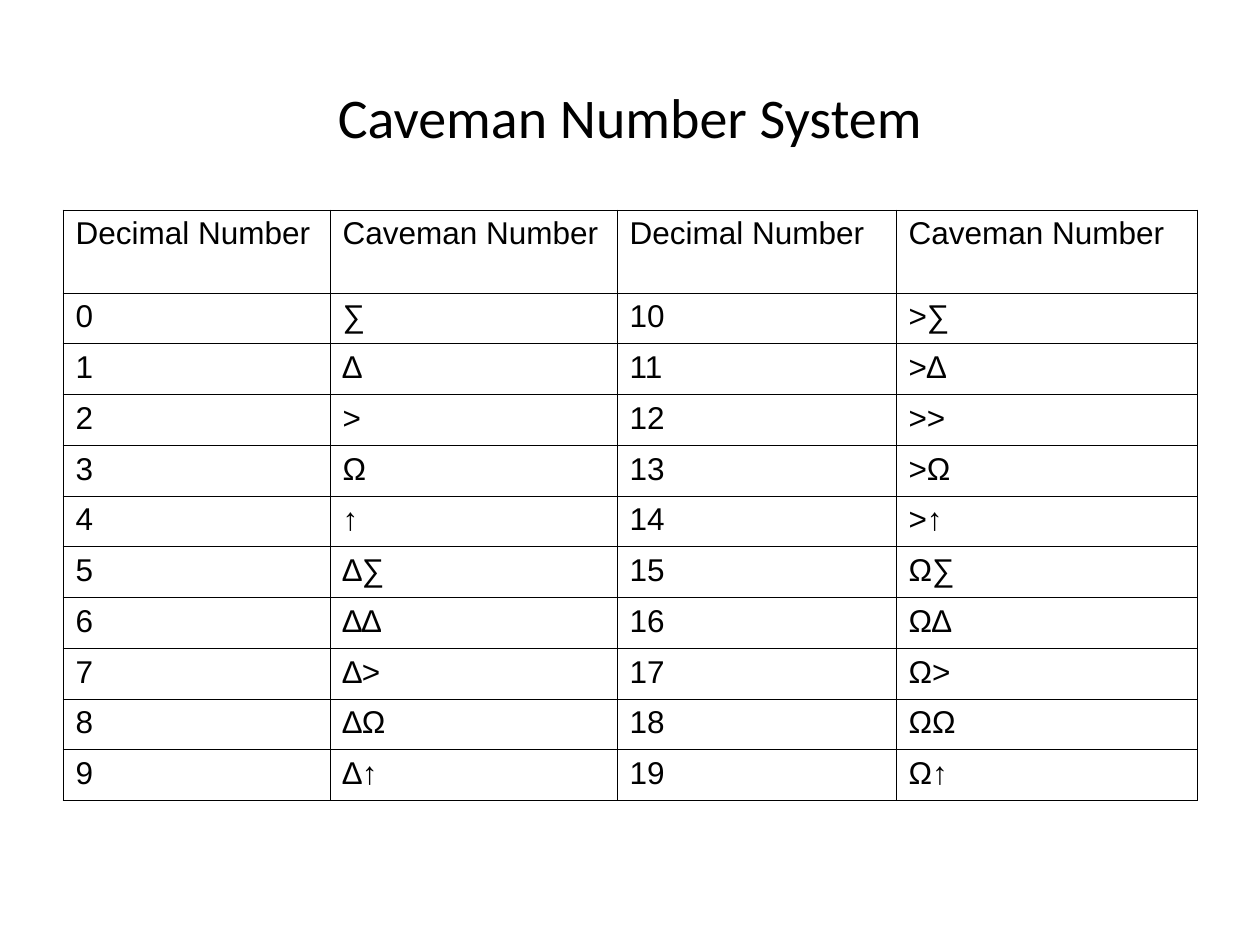
from dataclasses import dataclass

from lxml.etree import SubElement
from pptx import Presentation
from pptx.dml.color import RGBColor
from pptx.enum.text import MSO_ANCHOR, PP_ALIGN
from pptx.oxml.ns import qn
from pptx.util import Pt

COLORS = {"text": "000000", "border": "000000", "background": "FFFFFF"}
CAVEMAN_DIGITS = "∑∆>Ω↑"
HEADINGS = ("Decimal Number", "Caveman Number") * 2
COLUMN_WIDTHS = (152.6, 164, 159.4, 172)
HEADER_HEIGHT, ROW_HEIGHT = 47.5, 29
ROWS_PER_HALF = 10
HANGING_INDENT = 27
BORDER_WIDTH = 0.45


@dataclass(frozen=True)
class TextStyle:
    font: str
    size: float


TITLE_STYLE = TextStyle("Calibri", 32)
CELL_STYLE = TextStyle("Arial", 18)


def to_caveman(number: int) -> str:
    """Write a number in base five with the caveman digits."""
    higher, digit = divmod(number, len(CAVEMAN_DIGITS))
    return (to_caveman(higher) if higher else "") + CAVEMAN_DIGITS[digit]


def add_text(paragraph, text: str, style: TextStyle) -> None:
    run = paragraph.add_run()
    run.text = text
    run.font.name = style.font
    run.font.size = Pt(style.size)
    run.font.color.rgb = RGBColor.from_string(COLORS["text"])


def add_borders(cell) -> None:
    properties = cell._tc.get_or_add_tcPr()
    for side in ("lnL", "lnR", "lnT", "lnB"):
        line = SubElement(properties, qn(f"a:{side}"), w=str(Pt(BORDER_WIDTH)))
        fill = SubElement(line, qn("a:solidFill"))
        SubElement(fill, qn("a:srgbClr"), val=COLORS["border"])


def fill_cell(cell, text: str) -> None:
    add_borders(cell)
    cell.fill.background()
    paragraph = cell.text_frame.paragraphs[0]
    indents = paragraph._p.get_or_add_pPr()
    indents.set("marL", str(Pt(HANGING_INDENT)))
    indents.set("indent", str(-Pt(HANGING_INDENT)))
    add_text(paragraph, text, CELL_STYLE)


def add_title(slide, text: str) -> None:
    title = slide.shapes.title
    title.left, title.top, title.width, title.height = Pt(36), Pt(21.6), Pt(648), Pt(90)
    title.text_frame.vertical_anchor = MSO_ANCHOR.MIDDLE
    paragraph = title.text_frame.paragraphs[0]
    paragraph.alignment = PP_ALIGN.CENTER
    add_text(paragraph, text, TITLE_STYLE)


def add_number_table(slide) -> None:
    # Each row pairs a number with the one ten higher
    rows = [HEADINGS]
    for number in range(ROWS_PER_HALF):
        pair = (number, number + ROWS_PER_HALF)
        rows.append([text for n in pair for text in (str(n), to_caveman(n))])
    heights = [HEADER_HEIGHT] + [ROW_HEIGHT] * ROWS_PER_HALF

    number_table = slide.shapes.add_table(
        len(rows), len(COLUMN_WIDTHS), Pt(36), Pt(120),
        Pt(sum(COLUMN_WIDTHS)), Pt(sum(heights)),
    ).table
    number_table.first_row = False
    number_table.horz_banding = False
    for column, width in zip(number_table.columns, COLUMN_WIDTHS):
        column.width = Pt(width)
    for row, height, texts in zip(number_table.rows, heights, rows):
        row.height = Pt(height)
        for cell, text in zip(row.cells, texts):
            fill_cell(cell, text)


def main() -> None:
    presentation = Presentation()
    presentation.slide_width, presentation.slide_height = Pt(720), Pt(540)
    slide = presentation.slides.add_slide(presentation.slide_layouts[5])
    background = slide.background.fill
    background.solid()
    background.fore_color.rgb = RGBColor.from_string(COLORS["background"])

    add_title(slide, "Caveman Number System")
    add_number_table(slide)
    presentation.save("out.pptx")


if __name__ == "__main__":
    main()
